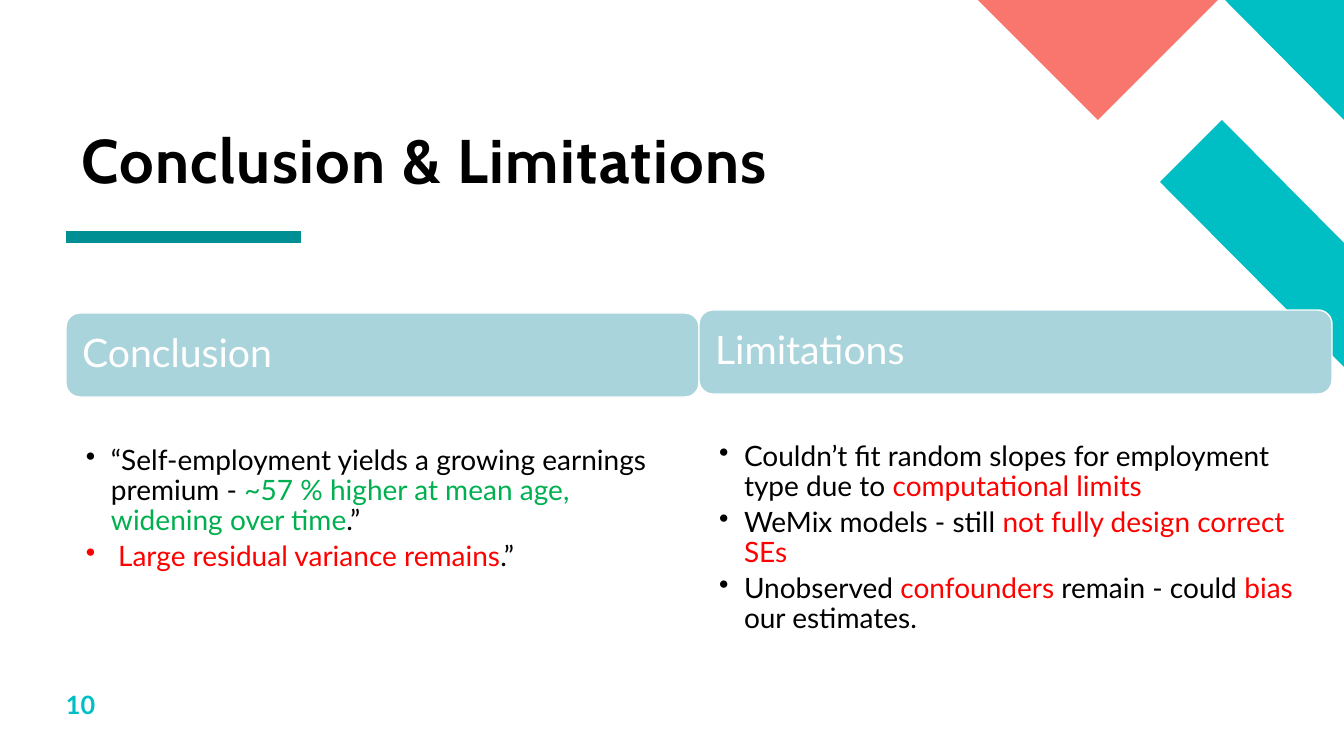
"""Build the "Conclusion & Limitations" slide."""
from lxml import etree
from pptx import Presentation
from pptx.dml.color import RGBColor
from pptx.enum.shapes import MSO_CONNECTOR, MSO_SHAPE
from pptx.enum.text import MSO_ANCHOR, PP_ALIGN
from pptx.oxml.ns import qn
from pptx.util import Pt

PX = 914400 / 100.8
STRAIGHT = MSO_CONNECTOR.STRAIGHT
ROUNDED = MSO_SHAPE.ROUNDED_RECTANGLE
TOP, MIDDLE, BOTTOM = MSO_ANCHOR.TOP, MSO_ANCHOR.MIDDLE, MSO_ANCHOR.BOTTOM
LEFT = PP_ALIGN.LEFT

BLACK = RGBColor(0x00, 0x00, 0x00)
WHITE = RGBColor(0xFF, 0xFF, 0xFF)
TEAL = RGBColor(0x00, 0xBF, 0xC4)
DARK_TEAL = RGBColor(0x00, 0x8F, 0x93)
PALE_TEAL = RGBColor(0xA9, 0xD4, 0xDB)
CORAL = RGBColor(0xF8, 0x76, 0x6D)
GREEN = RGBColor(0x00, 0xB0, 0x50)
RED = RGBColor(0xFF, 0x00, 0x00)

TITLE = {"name": "Cabin", "size": Pt(44), "bold": True}
HEADING = {"name": "Lato", "size": Pt(28)}
BODY = {"name": "Lato", "size": Pt(20)}
NUMBER = {"name": "Lato", "size": Pt(18), "bold": True}


def px(*lengths):
    return [round(length * PX) for length in lengths]


def write(shape, paragraphs, style, insets=(0, 0, 0, 0), anchor=TOP, spacing=1.0, bullets=False):
    frame = shape.text_frame
    frame.word_wrap = True
    frame.vertical_anchor = anchor
    frame.margin_left, frame.margin_top, frame.margin_right, frame.margin_bottom = px(*insets)
    for index, runs in enumerate(paragraphs):
        paragraph = frame.add_paragraph() if index else frame.paragraphs[0]
        paragraph.alignment = LEFT
        paragraph.line_spacing = spacing
        if bullets:
            paragraph.space_after = Pt(4)
            properties = paragraph._p.get_or_add_pPr()
            indent = px(25)[0]
            properties.set("marL", str(indent))
            properties.set("indent", str(-indent))
            etree.SubElement(properties, qn("a:buChar")).set("char", "•")
        for text, color in runs:
            run = paragraph.add_run()
            run.text = text
            run.font.color.rgb = color
            for attribute, value in style.items():
                setattr(run.font, attribute, value)


presentation = Presentation()
presentation.slide_width, presentation.slide_height = px(1344, 756)
slide = presentation.slides.add_slide(presentation.slide_layouts[6])
shapes = slide.shapes

corner_outlines = [
    (TEAL, [(1344, 367), (1344, 243), (1222, 120), (1160, 182)]),
    (TEAL, [(1344, 120), (1344, 0), (1225, 0)]),
    (CORAL, [(978, 0), (1098, 120), (1218, 0)]),
]
for color, points in corner_outlines:
    builder = shapes.build_freeform(*points[0], scale=PX)
    builder.add_line_segments(points[1:], close=True)
    corner = builder.convert_to_shape()
    corner.shadow.inherit = False
    corner.fill.solid()
    corner.fill.fore_color.rgb = color
    corner.line.fill.background()

rule = shapes.add_connector(STRAIGHT, *px(66, 237, 301, 237))
rule.line.color.rgb = DARK_TEAL
rule.line.width = Pt(8)
etree.SubElement(rule._element.spPr, qn("a:effectLst"))

title = shapes.add_textbox(*px(66, 22, 1210, 173))
write(title, [[(" Conclusion & Limitations", BLACK)]], TITLE, anchor=BOTTOM, spacing=0.8)
title.text_frame.paragraphs[0].runs[0].font._element.set("spc", "100")

columns = [
    ("Conclusion", 66, 313, 84, 443, 130, [
        [("“Self-employment yields a growing earnings premium - ", BLACK),
         ("~57 % higher at mean age, widening over time", GREEN), (".”", BLACK)],
        [(" Large residual variance remains", RED), (".”", BLACK)],
    ]),
    ("Limitations", 699, 310, 84, 439, 163, [
        [("Couldn’t fit random slopes for employment type due to ", BLACK),
         ("computational limits", RED)],
        [("WeMix models - still ", BLACK), ("not fully design correct SEs", RED)],
        [("Unobserved ", BLACK), ("confounders", RED), (" remain - could ", BLACK),
         ("bias", RED), (" our estimates.", BLACK)],
    ]),
]
for heading, left, top, height, body_top, body_height, points in columns:
    banner = shapes.add_shape(ROUNDED, *px(left, top, 633, height))
    banner.shadow.inherit = False
    banner.fill.solid()
    banner.fill.fore_color.rgb = PALE_TEAL
    banner.line.color.rgb = WHITE
    banner.line.width = Pt(1)
    write(banner, [[(heading, WHITE)]], HEADING, (12, 12, 12, 12), MIDDLE, 0.9)
    body = shapes.add_textbox(*px(left, body_top, 633, body_height))
    write(body, points, BODY, (20, 3, 16, 3), spacing=0.9, bullets=True)

page_number = shapes.add_textbox(*px(66, 689, 59, 54))
write(page_number, [[("10", TEAL)]], NUMBER)

presentation.save("out.pptx")
